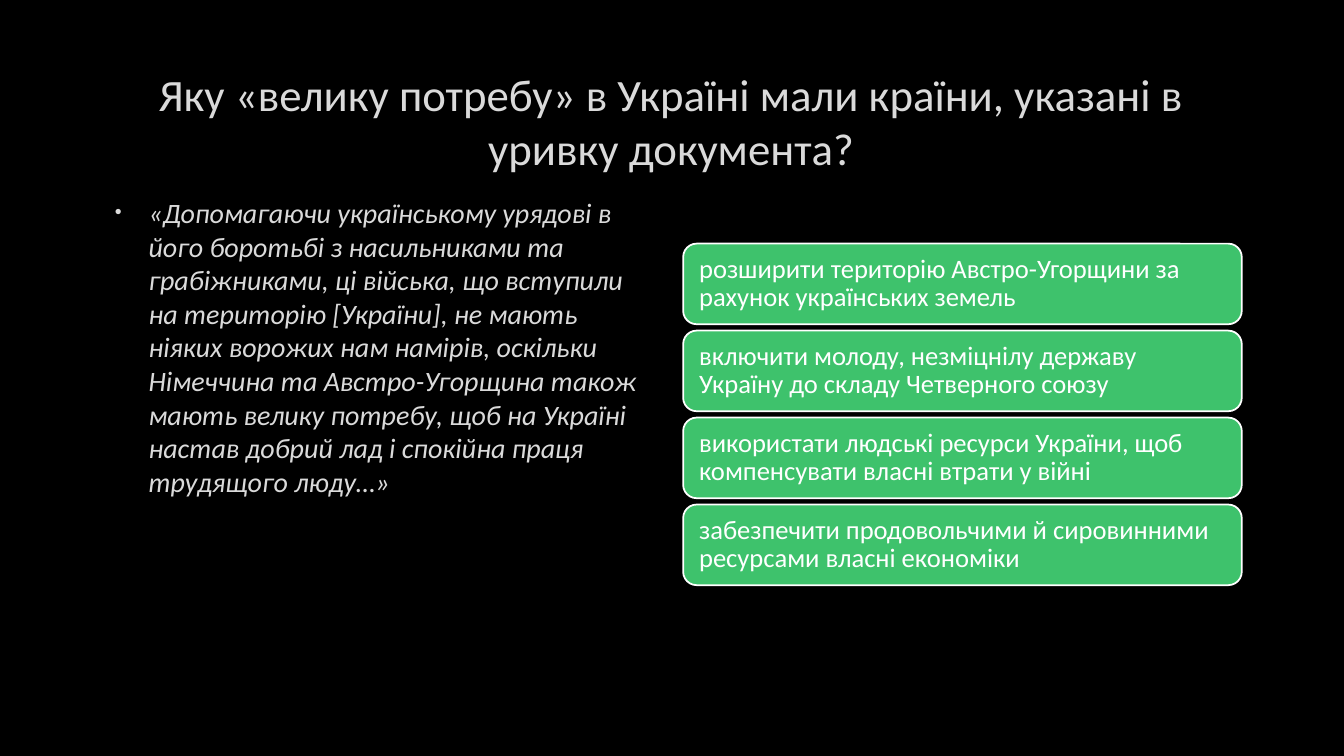
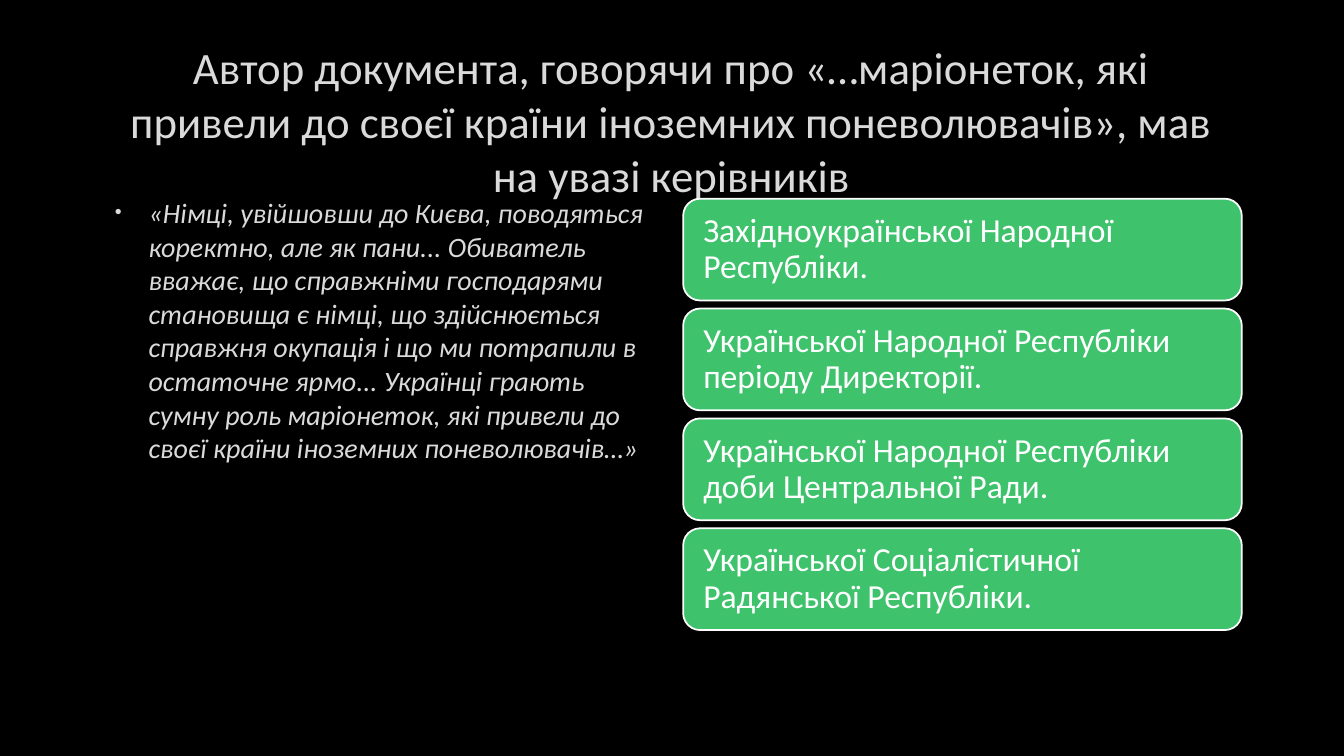
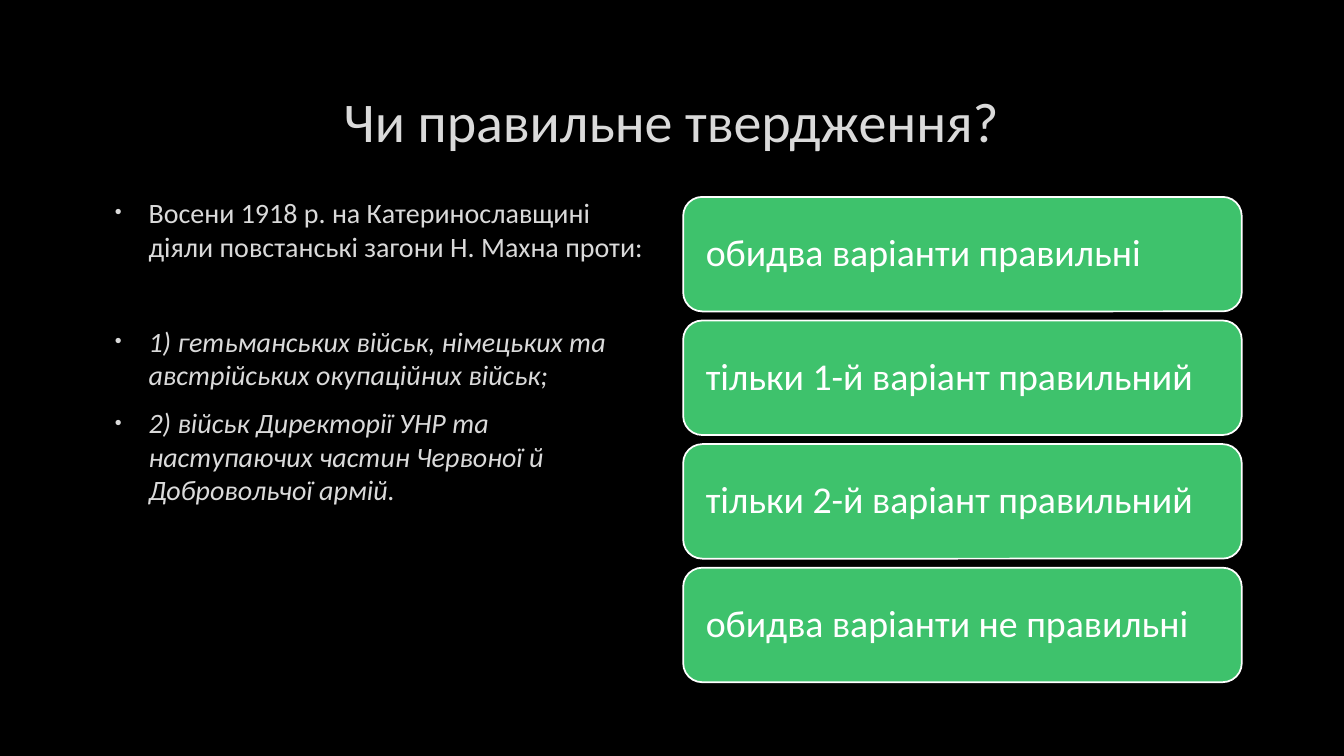
from lxml.etree import SubElement
from pptx import Presentation
from pptx.dml.color import RGBColor
from pptx.enum.shapes import MSO_SHAPE
from pptx.enum.text import MSO_ANCHOR, PP_ALIGN
from pptx.oxml.ns import qn
from pptx.util import Pt

COLORS = {"background": "000000", "text": "DADADA", "answer": "3EC26C", "white": "FFFFFF"}
FONT = "Calibri"
TITLE_BOX = (72, 48, 815, 76)
QUOTE_BOX = (72, 136, 398, 320)
ANSWERS_BOX = (488, 136, 399, 320)
TALL_ANSWERS_BOX = (488, 136, 399, 356)

QUESTIONS = [
    {
        "title": "Яку «велику потребу» в Україні мали країни, указані в уривку документа?",
        "title_size": 32,
        "quote": [
            ("«Допомагаючи українському урядові в його боротьбі з насильниками та "
             "грабіжниками, ці війська, що вступили на територію [України], не мають "
             "ніяких ворожих нам намірів, оскільки Німеччина та Австро-Угорщина також "
             "мають велику потребу, щоб на Україні настав добрий лад і спокійна праця "
             "трудящого люду…»", True, 0),
        ],
        "answers": [
            "розширити територію Австро-Угорщини за рахунок українських земель",
            "включити молоду, незміцнілу державу Україну до складу Четверного союзу",
            "використати людські ресурси України, щоб компенсувати власні втрати у війні",
            "забезпечити продовольчими й сировинними ресурсами власні економіки",
        ],
        "answer_size": 19,
        "answers_box": ANSWERS_BOX,
    },
    {
        "title": "Автор документа, говорячи про «…маріонеток, які привели до своєї країни "
                 "іноземних поневолювачів», мав на увазі керівників",
        "title_size": 32,
        "quote": [
            ("«Німці, увійшовши до Києва, поводяться коректно, але як пани... Обиватель "
             "вважає, що справжніми господарями становища є німці, що здійснюється "
             "справжня окупація і що ми потрапили в остаточне ярмо... Українці грають "
             "сумну роль маріонеток, які привели до своєї країни іноземних "
             "поневолювачів…»", True, 0),
        ],
        "answers": [
            "Західноукраїнської Народної Республіки.",
            "Української Народної Республіки періоду Директорії.",
            "Української Народної Республіки доби Центральної Ради.",
            "Української Соціалістичної Радянської Республіки.",
        ],
        "answer_size": 24,
        "answers_box": ANSWERS_BOX,
    },
    {
        "title": "Чи правильне твердження?",
        "title_size": 40,
        "quote": [
            ("Восени 1918 р. на Катеринославщині діяли повстанські загони Н. Махна проти:",
             False, 0),
            ("1) гетьманських військ, німецьких та австрійських окупаційних військ;", True, 38),
            ("2) військ Директорії УНР та наступаючих частин Червоної й Добровольчої армій.",
             True, 4),
        ],
        "answers": [
            "обидва варіанти правильні",
            "тільки 1-й варіант правильний",
            "тільки 2-й варіант правильний",
            "обидва варіанти не правильні",
        ],
        "answer_size": 27,
        "answers_box": TALL_ANSWERS_BOX,
    },
]


def color(name):
    """Return the named colour."""
    return RGBColor.from_string(COLORS[name])


def add_run(paragraph, text, size, color_name, italic=False):
    """Add one formatted run to a paragraph."""
    run = paragraph.add_run()
    run.text = text
    run.font.name = FONT
    run.font.size = Pt(size)
    run.font.italic = italic
    run.font.color.rgb = color(color_name)


def add_bullet(paragraph):
    """Give a paragraph a small hanging bullet."""
    properties = paragraph._p.get_or_add_pPr()
    properties.set("marL", str(Pt(27)))
    properties.set("indent", str(Pt(-24)))
    bullet_color = SubElement(properties, qn("a:buClr"))
    SubElement(bullet_color, qn("a:srgbClr"), val=COLORS["text"])
    SubElement(properties, qn("a:buSzPct"), val="70000")
    SubElement(properties, qn("a:buFont"), typeface="Arial")
    SubElement(properties, qn("a:buChar"), char="•")


def add_text_frame(slide, box):
    """Add a wrapping text box and return its text frame."""
    frame = slide.shapes.add_textbox(*map(Pt, box)).text_frame
    frame.word_wrap = True
    return frame


def add_title(slide, box, text, size):
    """Add the centred slide title."""
    frame = add_text_frame(slide, box)
    frame.vertical_anchor = MSO_ANCHOR.MIDDLE
    paragraph = frame.paragraphs[0]
    paragraph.alignment = PP_ALIGN.CENTER
    add_run(paragraph, text, size, "text")


def add_quote(slide, box, items):
    """Add the bulleted text on the left."""
    frame = add_text_frame(slide, box)
    for index, (text, italic, space_before) in enumerate(items):
        paragraph = frame.add_paragraph() if index else frame.paragraphs[0]
        add_bullet(paragraph)
        paragraph.space_before = Pt(space_before)
        paragraph.space_after = Pt(6)
        add_run(paragraph, text, 20, "text", italic)


def add_answer(slide, box, text, size):
    """Add one rounded answer card."""
    shape = slide.shapes.add_shape(MSO_SHAPE.ROUNDED_RECTANGLE, *map(Pt, box))
    shape.shadow.inherit = False
    shape.fill.solid()
    shape.fill.fore_color.rgb = color("answer")
    shape.line.color.rgb = color("white")
    shape.line.width = Pt(1.25)
    frame = shape.text_frame
    frame.word_wrap = True
    frame.vertical_anchor = MSO_ANCHOR.MIDDLE
    inset = Pt(0.45 * size)
    frame.margin_left = frame.margin_right = inset
    frame.margin_top = frame.margin_bottom = inset
    paragraph = frame.paragraphs[0]
    paragraph.alignment = PP_ALIGN.LEFT
    paragraph.line_spacing = 0.9
    add_run(paragraph, text, size, "white")


def add_answers(slide, box, answers, size):
    """Stack answer cards, scaled to their text size, in the middle of the box."""
    left, top, width, height = box
    card_height, gap = 3.03 * size, 0.24 * size
    pitch = card_height + gap
    first_top = top + (height - len(answers) * pitch + gap) / 2
    for index, text in enumerate(answers):
        add_answer(slide, (left, first_top + index * pitch, width, card_height), text, size)


def add_question_slide(presentation, question):
    """Add a slide with a title, a text and its answers."""
    slide = presentation.slides.add_slide(presentation.slide_layouts[6])
    add_title(slide, TITLE_BOX, question["title"], question["title_size"])
    add_quote(slide, QUOTE_BOX, question["quote"])
    add_answers(slide, question["answers_box"], question["answers"], question["answer_size"])


def main():
    """Build and save the presentation."""
    presentation = Presentation()
    presentation.slide_width = Pt(960)
    presentation.slide_height = Pt(540)
    background = presentation.slide_master.background.fill
    background.solid()
    background.fore_color.rgb = color("background")
    for question in QUESTIONS:
        add_question_slide(presentation, question)
    presentation.save("out.pptx")


if __name__ == "__main__":
    main()
